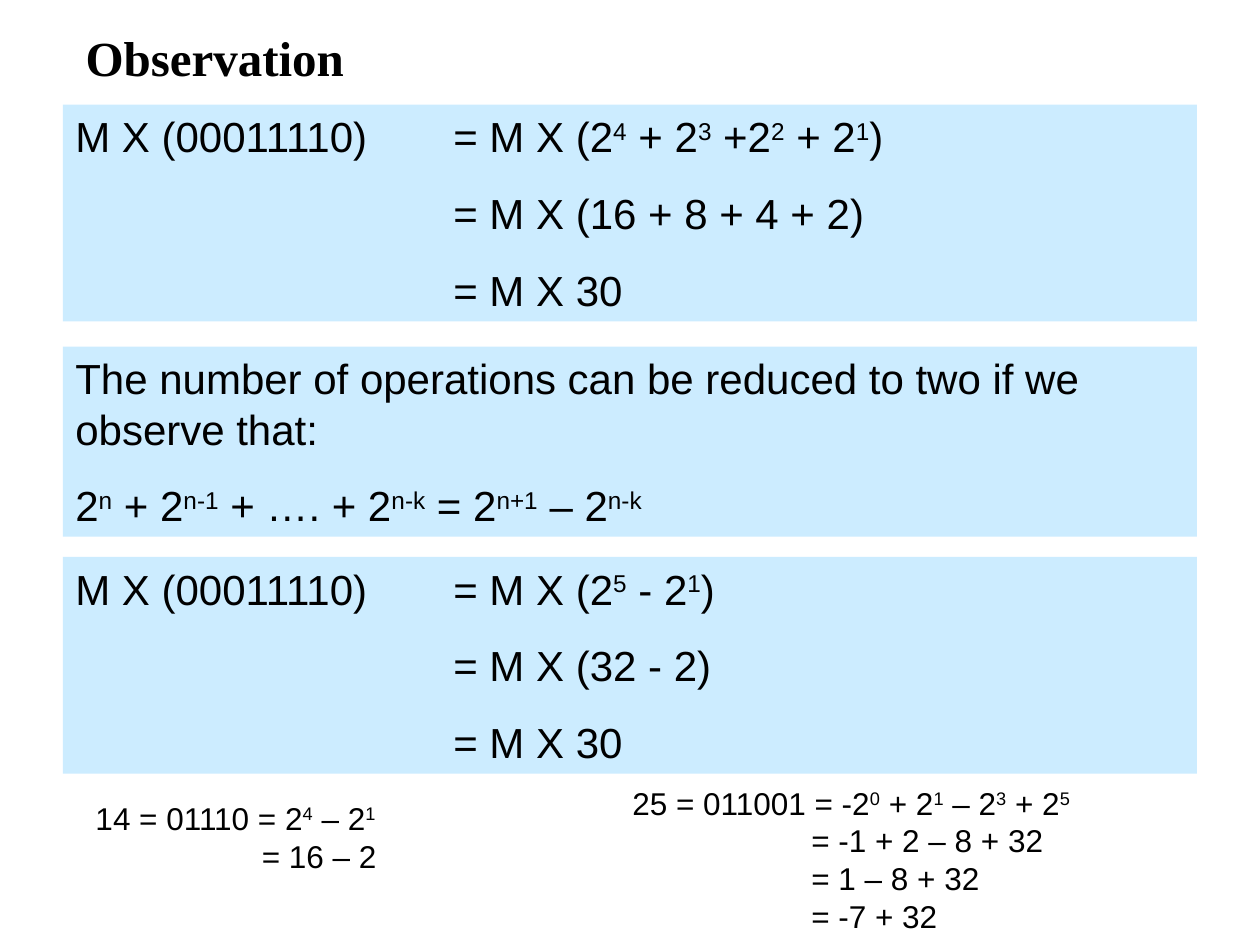
from dataclasses import dataclass

from lxml import etree
from pptx import Presentation
from pptx.dml.color import RGBColor
from pptx.enum.shapes import MSO_SHAPE
from pptx.enum.text import MSO_ANCHOR, MSO_AUTO_SIZE, PP_ALIGN
from pptx.oxml.ns import qn
from pptx.util import Inches, Pt

RECTANGLE = MSO_SHAPE.RECTANGLE
TOP = MSO_ANCHOR.TOP
NO_AUTOFIT = MSO_AUTO_SIZE.NONE
LEFT = PP_ALIGN.LEFT


@dataclass(frozen=True)
class Theme:
    text: RGBColor = RGBColor(0x00, 0x00, 0x00)
    panel: RGBColor = RGBColor(0xCC, 0xEC, 0xFF)
    title_font: str = "Times New Roman"
    body_font: str = "Arial"
    title_size: int = 28
    body_size: int = 24
    example_size: int = 18
    panel_gap: int = 15


theme = Theme()


def write_text(shape, lines, font=theme.body_font, size=theme.body_size,
               bold=False, gap=0, tab=None, wrap=True):
    """Fill the shape with lines; text between a pair of | marks is superscript."""
    frame = shape.text_frame
    frame.word_wrap = wrap
    frame.auto_size = NO_AUTOFIT
    frame.vertical_anchor = TOP
    for index, line in enumerate(lines):
        paragraph = frame.add_paragraph() if index else frame.paragraphs[0]
        paragraph.alignment = LEFT
        paragraph.space_before = Pt(gap if index else 0)
        if tab is not None:
            tab_list = etree.SubElement(paragraph._p.get_or_add_pPr(), qn("a:tabLst"))
            etree.SubElement(tab_list, qn("a:tab"), pos=str(Inches(tab)), algn="l")
        for position, part in enumerate(line.split("|")):
            if not part:
                continue
            run = paragraph.add_run()
            run.text = part
            run.font.name = font
            run.font.size = Pt(size)
            run.font.bold = bold
            run.font.color.rgb = theme.text
            if position % 2:
                run.font._element.set("baseline", "30000")


presentation = Presentation()
presentation.slide_width = Inches(10)
presentation.slide_height = Inches(7.5)
slide = presentation.slides.add_slide(presentation.slide_layouts.get_by_name("Title Only"))

title = slide.shapes.title
title.left, title.top = Inches(0.58), Inches(0.17)
title.width, title.height = Inches(4.5), Inches(0.57)
write_text(title, ["Observation"], font=theme.title_font, size=theme.title_size, bold=True)

# Panels: top, height, lines
panels = [
    (0.83, 1.72, ["M X (00011110)\t= M X (2|4| + 2|3| +2|2| + 2|1|)",
                  "\t= M X (16 + 8 + 4 + 2)",
                  "\t= M X 30"]),
    (2.75, 1.51, ["The number of operations can be reduced to two if we observe that:",
                  "2|n| + 2|n-1| + …. + 2|n-k| = 2|n+1| – 2|n-k|"]),
    (4.42, 1.72, ["M X (00011110)\t= M X (2|5| - 2|1|)",
                  "\t= M X (32 - 2)",
                  "\t= M X 30"]),
]
for top, height, lines in panels:
    panel = slide.shapes.add_shape(RECTANGLE, Inches(0.5), Inches(top), Inches(9), Inches(height))
    panel.shadow.inherit = False
    panel.fill.solid()
    panel.fill.fore_color.rgb = theme.panel
    panel.line.fill.background()
    write_text(panel, lines, gap=theme.panel_gap, tab=3)

# Worked examples: left, top, width, height, tab stop of the equals signs, lines
examples = [
    (0.66, 6.29, 2.46, 0.7, 1.32, ["14 = 01110 = 2|4| – 2|1|",
                                   "\t= 16 – 2"]),
    (4.92, 6.17, 3.69, 1.3, 1.42, ["25 = 011001 = -2|0| + 2|1| – 2|3| + 2|5|",
                                   "\t= -1 + 2 – 8 + 32",
                                   "\t= 1 – 8 + 32",
                                   "\t= -7 + 32"]),
]
for left, top, width, height, tab, lines in examples:
    example = slide.shapes.add_textbox(Inches(left), Inches(top), Inches(width), Inches(height))
    write_text(example, lines, size=theme.example_size, tab=tab, wrap=False)

presentation.save("out.pptx")
